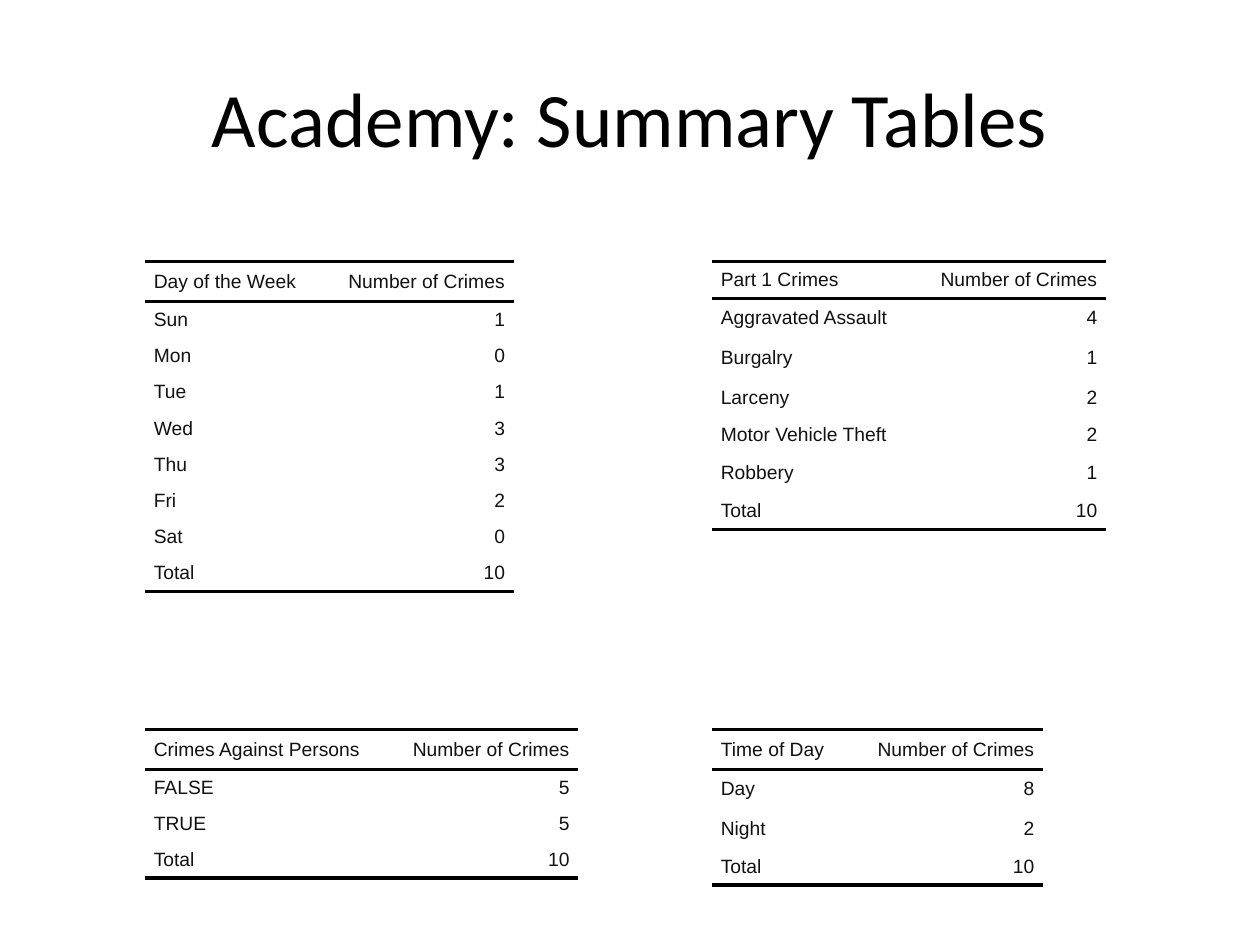
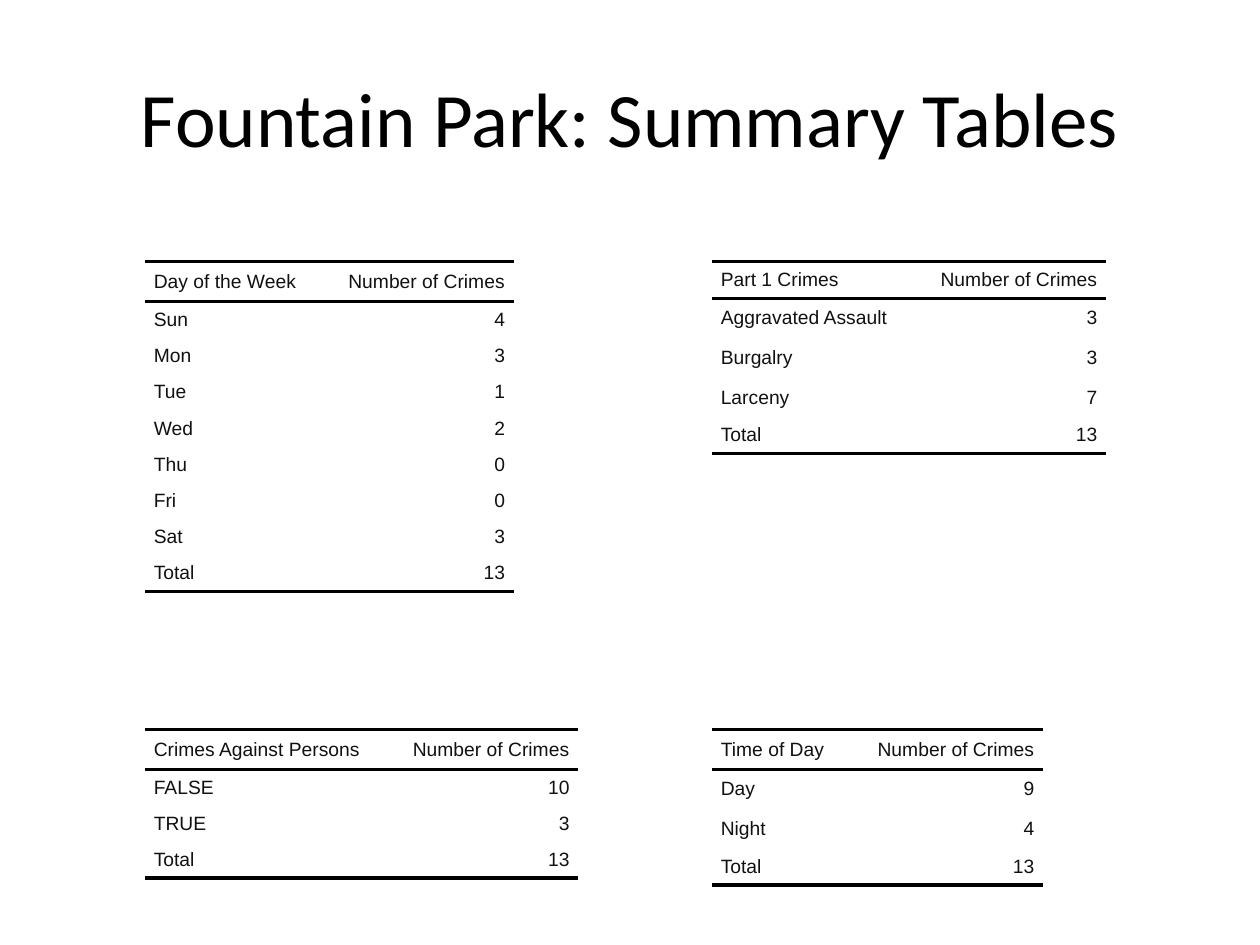
from dataclasses import dataclass

from lxml.etree import SubElement as Sub
from pptx import Presentation
from pptx.dml.color import RGBColor as Rgb
from pptx.enum.text import MSO_ANCHOR as Anchor, PP_ALIGN as Align
from pptx.oxml.ns import qn
from pptx.util import Cm, Pt


@dataclass(frozen=True)
class Theme:
    title: Rgb = Rgb(0, 0, 0)
    text: Rgb = Rgb(0x11, 0x11, 0x11)
    rule: str = "000000"
    head: str = "Calibri"
    body: str = "Arial"
    big: int = 44
    small: int = 11
    line: int = 2


THEME = Theme()
NO_GRID = "{2D5ABB26-0587-4C30-8999-92F81FD0307C}"

# Shared grid, in centimetres
LEFT, RIGHT = 2.92, 14.35
TOP, LOW = 5.28, 14.71
SHORT, TALL = 0.73, 0.8
COUNT_W = 3.86
PAD = 0.18


@dataclass(frozen=True)
class Spec:
    name: str
    left: float
    top: float
    width: float  # label column
    tall: tuple  # numbers of the taller rows, header is 0


CRIMES = Spec("Part 1 Crimes", RIGHT, TOP, 4.09, (1, 2, 3, 5))
DAYS = Spec("Day of the Week", LEFT, TOP, 3.58, (0,))
PERSONS = Spec("Crimes Against Persons", LEFT, LOW, 4.88, (0,))
TIMES = Spec("Time of Day", RIGHT, LOW, 2.82, (0, 1, 2))

WEEK = ("Sun", "Mon", "Tue", "Wed", "Thu", "Fri", "Sat")
FLAGS = ("FALSE", "TRUE")
PARTS = ("Day", "Night")

# Each area: its tables in stacking order, as labels mapped to counts
AREAS = {
    "Academy": (
        (CRIMES, {"Aggravated Assault": 4, "Burgalry": 1, "Larceny": 2,
                  "Motor Vehicle Theft": 2, "Robbery": 1}),
        (DAYS, dict(zip(WEEK, (1, 0, 1, 3, 3, 2, 0)))),
        (PERSONS, dict(zip(FLAGS, (5, 5)))),
        (TIMES, dict(zip(PARTS, (8, 2)))),
    ),
    "Fountain Park": (
        (CRIMES, {"Aggravated Assault": 3, "Burgalry": 3, "Larceny": 7}),
        (DAYS, dict(zip(WEEK, (4, 3, 1, 2, 0, 0, 3)))),
        (PERSONS, dict(zip(FLAGS, (10, 3)))),
        (TIMES, dict(zip(PARTS, (9, 4)))),
    ),
}


def style(para, align, face, size, color):
    para.alignment = align
    for run in para.runs:
        run.font.name = face
        run.font.size = Pt(size)
        run.font.color.rgb = color


def add_title(slide, text):
    box = slide.shapes.add_textbox(Cm(1.27), Cm(0.76), Cm(22.86), Cm(3.18))
    frame = box.text_frame
    frame.word_wrap = True
    frame.vertical_anchor = Anchor.MIDDLE
    frame.text = text
    style(frame.paragraphs[0], Align.CENTER, THEME.head, THEME.big, THEME.title)


def add_rule(cell, side):
    line = Sub(cell._tc.get_or_add_tcPr(), qn(f"a:ln{side}"),
               w=str(Pt(THEME.line)))
    fill = Sub(line, qn("a:solidFill"))
    Sub(fill, qn("a:srgbClr"), val=THEME.rule)


def set_cell(cell, text, align, sides):
    cell.text = text
    cell.vertical_anchor = Anchor.MIDDLE
    cell.margin_left = cell.margin_right = Cm(PAD)
    cell.margin_top = cell.margin_bottom = 0
    for side in sides:
        add_rule(cell, side)
    cell.fill.background()
    style(cell.text_frame.paragraphs[0], align, THEME.body, THEME.small,
          THEME.text)


def add_table(slide, kind, counts):
    rows = [(kind.name, "Number of Crimes"), *counts.items(),
            ("Total", sum(counts.values()))]
    last = len(rows) - 1
    highs = [TALL if i in kind.tall else SHORT for i in range(len(rows))]
    table = slide.shapes.add_table(
        len(rows), 2, Cm(kind.left), Cm(kind.top),
        Cm(kind.width + COUNT_W), Cm(sum(highs))).table

    # Plain look: rules only around the header and below the total
    table.first_row = table.horz_banding = False
    table._tbl.tblPr.find(qn("a:tableStyleId")).text = NO_GRID
    for col, width in zip(table.columns, (kind.width, COUNT_W)):
        col.width = Cm(width)
    for i, (row, high) in enumerate(zip(rows, highs)):
        table.rows[i].height = Cm(high)
        sides = {0: "TB", last: "B"}.get(i, "")
        for j, align in enumerate((Align.LEFT, Align.RIGHT)):
            set_cell(table.cell(i, j), str(row[j]), align, sides)


def main():
    deck = Presentation()
    deck.slide_width, deck.slide_height = Cm(25.4), Cm(19.05)
    for area, tables in AREAS.items():
        slide = deck.slides.add_slide(deck.slide_layouts[6])
        add_title(slide, f"{area}: Summary Tables")
        for kind, counts in tables:
            add_table(slide, kind, counts)
    deck.save("out.pptx")


if __name__ == "__main__":
    main()
